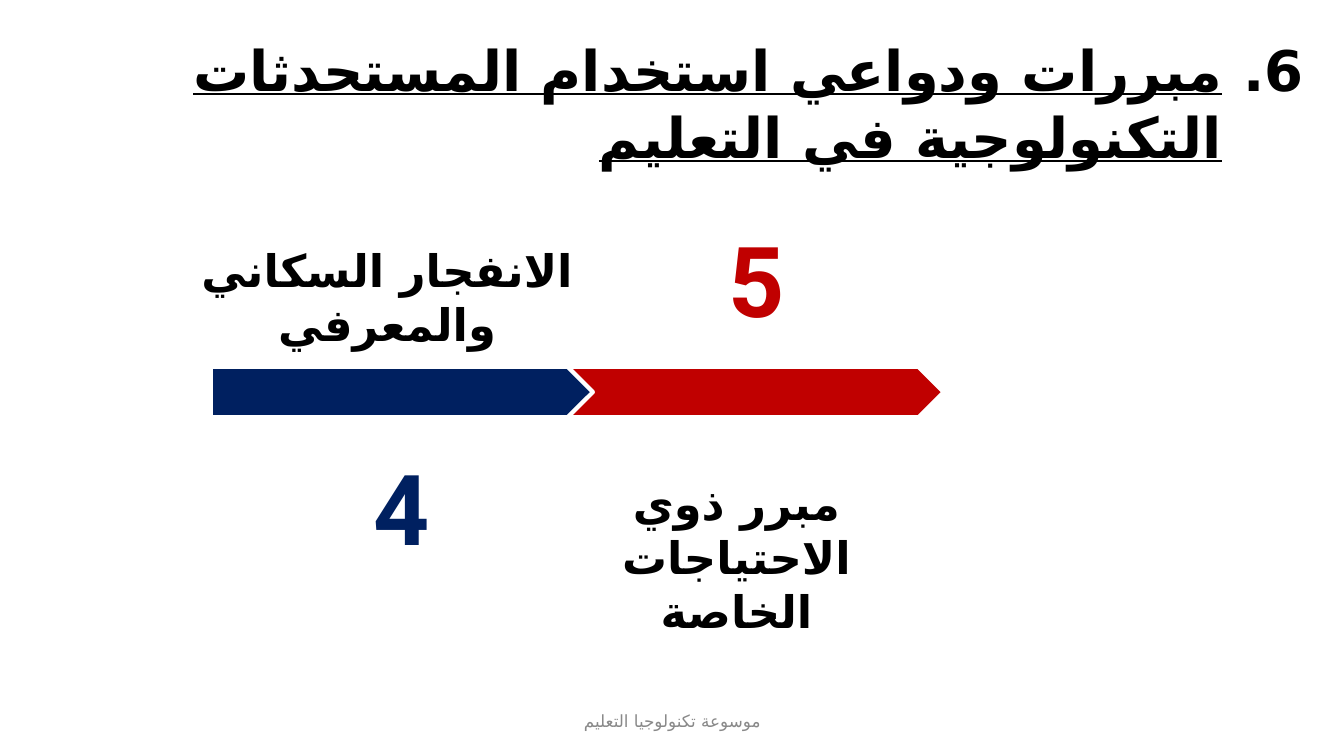
from lxml.etree import SubElement
from pptx import Presentation
from pptx.dml.color import RGBColor
from pptx.enum.shapes import MSO_SHAPE
from pptx.enum.text import MSO_ANCHOR, MSO_AUTO_SIZE, PP_ALIGN
from pptx.oxml.ns import qn
from pptx.util import Pt

PX = 9144
NAVY = RGBColor(0x00, 0x20, 0x60)
RED = RGBColor(0xC0, 0x00, 0x00)
BLACK = RGBColor(0x00, 0x00, 0x00)
GREY = RGBColor(0x89, 0x89, 0x89)
WHITE = RGBColor(0xFF, 0xFF, 0xFF)
ARABIC_FONT = "DejaVu Sans"

HEADING = "مبررات ودواعي استخدام المستحدثات التكنولوجية في التعليم"
HEADING_NUMBER = 6
HEADING_INDENT = 81
FOOTER = "موسوعة تكنولوجيا التعليم"
REASONS = [
    ("4", NAVY, (337, 439, 123, 128), "الانفجار السكاني والمعرفي", (184, 236, 400, 118)),
    ("5", RED, (689, 213, 123, 128), "مبرر ذوي الاحتياجات الخاصة", (525, 467, 411, 118)),
]
ARROW_LEFT, ARROW_TOP, ARROW_WIDTH, ARROW_HEIGHT = 209, 364, 379, 50
ARROW_STEP = 348


def emu(box):
    return [length * PX for length in box]


def style(paragraph, size, font, color, bold=True):
    for run in paragraph.runs:
        run.font.size = Pt(size)
        run.font.name = font
        run.font.bold = bold
        run.font.color.rgb = color
        SubElement(run._r.get_or_add_rPr(), qn("a:cs"), typeface=ARABIC_FONT)


def add_text(slide, box, text, size, font, color, bold=True, fit=MSO_AUTO_SIZE.SHAPE_TO_FIT_TEXT):
    frame = slide.shapes.add_textbox(*emu(box)).text_frame
    frame.text = text
    frame.word_wrap = True
    frame.auto_size = fit
    paragraph = frame.paragraphs[0]
    paragraph.alignment = PP_ALIGN.CENTER
    style(paragraph, size, font, color, bold)
    return frame


def add_arrow(slide, index, color):
    box = (ARROW_LEFT + index * ARROW_STEP, ARROW_TOP, ARROW_WIDTH, ARROW_HEIGHT)
    arrow = slide.shapes.add_shape(MSO_SHAPE.PENTAGON, *emu(box))
    arrow.shadow.inherit = False
    arrow.fill.solid()
    arrow.fill.fore_color.rgb = color
    arrow.line.color.rgb = WHITE
    arrow.line.width = Pt(3)


def set_heading(title):
    title.left, title.top, title.width, title.height = emu((73, 50, 1220, 104))
    frame = title.text_frame
    frame.text = HEADING
    frame.word_wrap = True
    frame.auto_size = MSO_AUTO_SIZE.NONE
    frame.vertical_anchor = MSO_ANCHOR.MIDDLE
    frame.margin_left = frame.margin_top = frame.margin_right = frame.margin_bottom = 0
    paragraph = frame.paragraphs[0]
    paragraph.alignment = PP_ALIGN.RIGHT
    properties = paragraph._p.get_or_add_pPr()
    properties.set("marL", str(HEADING_INDENT * PX))
    properties.set("marR", "0")
    properties.set("indent", str(-HEADING_INDENT * PX))
    properties.set("rtl", "1")
    SubElement(properties, qn("a:buFont"), typeface="Roboto")
    SubElement(properties, qn("a:buAutoNum"), type="arabicPeriod", startAt=str(HEADING_NUMBER))
    style(paragraph, 40, "Manrope", BLACK)
    paragraph.runs[0].font.underline = True


def main():
    presentation = Presentation()
    presentation.slide_width, presentation.slide_height = emu((1333, 750))
    slide = presentation.slides.add_slide(presentation.slide_layouts[5])
    set_heading(slide.shapes.title)

    for index, (_, color, *_) in reversed(list(enumerate(REASONS))):
        add_arrow(slide, index, color)
    for number, color, number_box, reason, reason_box in REASONS:
        add_text(slide, number_box, number, 70, "Roboto", color)
        add_text(slide, reason_box, reason, 32, "Calibri", BLACK)

    footer = add_text(slide, (442, 695, 450, 40), FOOTER, 12, "Calibri", GREY, False, MSO_AUTO_SIZE.NONE)
    footer.vertical_anchor = MSO_ANCHOR.MIDDLE
    presentation.save("out.pptx")


if __name__ == "__main__":
    main()
